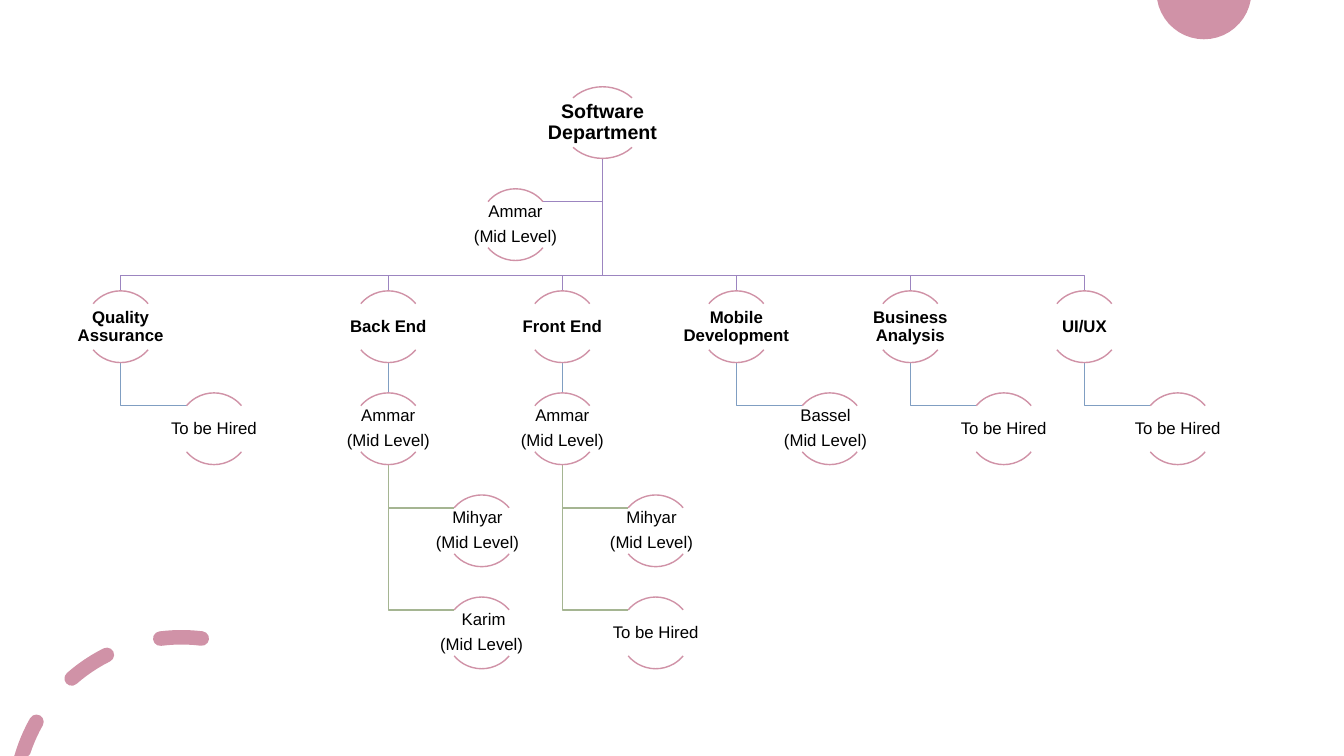
from dataclasses import dataclass
from math import cos, radians, sin
from typing import NamedTuple

from lxml import etree
from pptx import Presentation
from pptx.dml.color import RGBColor
from pptx.enum.shapes import MSO_CONNECTOR, MSO_SHAPE
from pptx.enum.text import MSO_ANCHOR, PP_ALIGN
from pptx.oxml.ns import qn
from pptx.util import Pt

ARC, STRAIGHT = MSO_SHAPE.ARC, MSO_CONNECTOR.STRAIGHT
MIDDLE, CENTER = MSO_ANCHOR.MIDDLE, PP_ALIGN.CENTER
Point = tuple[float, float]


@dataclass(frozen=True)
class Theme:
    rose: RGBColor = RGBColor(0xD0, 0x92, 0xA7)
    purple: RGBColor = RGBColor(0x9C, 0x85, 0xC0)
    blue: RGBColor = RGBColor(0x80, 0x9E, 0xC2)
    green: RGBColor = RGBColor(0xA5, 0xB5, 0x92)
    black: RGBColor = RGBColor(0, 0, 0)
    font: str = "Arial"
    root_size: float = 14
    unit_size: float = 12
    line: float = 1


THEME = Theme()


class Person(NamedTuple):
    name: str
    level: str = ""
    shift: float = 0  # sideways offset of the name


class Branch(NamedTuple):
    unit: str
    x: float
    lead: Person | None
    team: tuple[Person, ...]


class Node(NamedTuple):
    lines: tuple[str, ...]
    x: float
    row: int
    bold: bool = False
    shift: float = 0
    size: float = THEME.unit_size
    circle_width: float = 51.2
    label_width: float = 103


WIDTH, HEIGHT = 960, 540

# Chart grid
TOP, ROW_STEP = 62, 72.9
CIRCLE, LABEL_HEIGHT = 51.2, 33
FIRST_X, BACK_X, COLUMN_STEP = 86.2, 277.4, 124.3
COLUMNS = [FIRST_X] + [BACK_X + COLUMN_STEP * i for i in range(5)]
ROOT_X = (COLUMNS[0] + COLUMNS[-1]) / 2
HANG = 66.7  # from a parent's centre to a hanging child's centre
ARC_END_X = CIRCLE / 2 * cos(radians(40))
ARC_END_Y = CIRCLE / 2 * (1 - sin(radians(40)))
ARCS = ((132, 192), (24, 84))  # upper and lower, from 220 to 320 and 40 to 140 degrees

FRAME_FORMAT = {"word_wrap": True, "vertical_anchor": MIDDLE}
FRAME_FORMAT |= {f"margin_{side}": Pt(0.7) for side in ("left", "right", "top", "bottom")}
PARAGRAPH_FORMAT = {"alignment": CENTER, "line_spacing": 0.9, "space_after": Pt(4.7)}

MID = "(Mid Level)"
AMMAR, MIHYAR = Person("Ammar", MID), Person("Mihyar", MID, -3)
KARIM, BASSEL = Person("Karim", MID, 1.4), Person("Bassel", MID, -3)
OPEN = Person("To be Hired")
UNITS = (
    ("Quality Assurance", None, (OPEN,)),
    ("Back End", AMMAR, (MIHYAR, KARIM)),
    ("Front End", AMMAR, (MIHYAR, OPEN)),
    ("Mobile Development", None, (BASSEL,)),
    ("Business Analysis", None, (OPEN,)),
    ("UI/UX", None, (OPEN,)),
)
BRANCHES = [Branch(unit, x, lead, team) for x, (unit, lead, team) in zip(COLUMNS, UNITS)]

deck = Presentation()
deck.slide_width, deck.slide_height = Pt(WIDTH), Pt(HEIGHT)
shapes = deck.slides.add_slide(deck.slide_layouts[6]).shapes


def row_top(row: int) -> float:
    return TOP + ROW_STEP * row


def row_bottom(row: int) -> float:
    return row_top(row) + CIRCLE


def outline(points: list[Point], close: bool):
    start, *rest = [(Pt(x), Pt(y)) for x, y in points]
    builder = shapes.build_freeform(*start)
    builder.add_line_segments(rest, close=close)
    shape = builder.convert_to_shape()
    shape.shadow.inherit = False
    return shape


def ornament(points: list[Point]) -> None:
    """Fill an outline, cut off at the slide's lower edge."""
    shape = outline([(x, min(y, HEIGHT)) for x, y in points], close=True)
    shape.fill.solid()
    shape.fill.fore_color.rgb = THEME.rose
    shape.line.fill.background()


def polar(center: Point, radius: float, angle: float) -> Point:
    """Point on a circle; angles run clockwise from the top."""
    x, y = center
    return x + radius * sin(radians(angle)), y - radius * cos(radians(angle))


def sweep(center: Point, radius: float, start: float, end: float, steps: int = 6) -> list[Point]:
    return [polar(center, radius, start + (end - start) * i / steps) for i in range(steps + 1)]


def dash(center: Point, radius: float, half: float, start: float, end: float) -> None:
    ornament(sweep(center, radius + half, start, end)
             + sweep(polar(center, radius, end), half, end, end + 180)
             + sweep(center, radius - half, end, start)
             + sweep(polar(center, radius, start), half, start + 180, start + 360))


def link(color: RGBColor, *points: Point) -> None:
    if len(points) == 2:
        shape = shapes.add_connector(STRAIGHT, *(Pt(v) for point in points for v in point))
        etree.SubElement(shape._element.spPr, qn("a:effectLst"))
    else:
        shape = outline(list(points), close=False)
        shape.fill.background()
    shape.line.color.rgb = color
    shape.line.width = Pt(THEME.line)


def hang(color: RGBColor, x: float, parent_row: int, row: int) -> None:
    y = row_top(row) + ARC_END_Y
    link(color, (x, row_bottom(parent_row)), (x, y), (x + HANG - ARC_END_X, y))


def person_node(person: Person, x: float, row: int) -> Node:
    lines = tuple(filter(None, (person.name, person.level)))
    return Node(lines, x, row, shift=person.shift)


def draw_node(node: Node) -> None:
    for ends in ARCS:
        arc = shapes.add_shape(ARC, Pt(node.x - node.circle_width / 2), Pt(row_top(node.row)),
                               Pt(node.circle_width), Pt(CIRCLE))
        arc.adjustments[0], arc.adjustments[1] = ends
        arc.shadow.inherit = False
        arc.fill.background()
        arc.line.color.rgb = THEME.rose
        arc.line.width = Pt(THEME.line)
    label_top = row_top(node.row) + (CIRCLE - LABEL_HEIGHT) / 2
    frame = shapes.add_textbox(Pt(node.x - node.label_width / 2), Pt(label_top),
                               Pt(node.label_width), Pt(LABEL_HEIGHT)).text_frame
    for key, value in FRAME_FORMAT.items():
        setattr(frame, key, value)
    frame.text = "\n".join(node.lines)
    font_format = {"name": THEME.font, "size": Pt(node.size), "bold": node.bold}
    for paragraph in frame.paragraphs:
        for key, value in PARAGRAPH_FORMAT.items():
            setattr(paragraph, key, value)
        font = paragraph.runs[0].font
        for key, value in font_format.items():
            setattr(font, key, value)
        font.color.rgb = THEME.black
    if node.shift:
        side = "marL" if node.shift > 0 else "marR"
        frame.paragraphs[0]._p.get_or_add_pPr().set(side, str(Pt(2 * abs(node.shift))))


# Corner ornaments
ornament(sweep((860, -5.8), 33.9, 99.8, 260.2, steps=20))
for start, end in ((-74, -60.5), (-41.2, -26.6), (-7.3, 7)):
    dash((129.6, 574.2), 119, 5.2, start, end)

# Connecting lines, collecting the nodes on the way
root = (ROOT_X, row_bottom(0))
assistant_x = ROOT_X - COLUMN_STEP / 2
assistant_y = row_top(1) + ARC_END_Y
bus_y = (row_bottom(1) + row_top(2)) / 2
nodes = [Node(("Software Department",), ROOT_X, 0, True, size=THEME.root_size,
              circle_width=58.3, label_width=116.6),
         person_node(AMMAR, assistant_x, 1)]
link(THEME.purple, root, (ROOT_X, assistant_y), (assistant_x + ARC_END_X, assistant_y))
for branch in BRANCHES:
    x, parent_row, color = branch.x, 2, THEME.blue
    link(THEME.purple, root, (ROOT_X, bus_y), (x, bus_y), (x, row_top(2)))
    nodes.append(Node((branch.unit,), x, 2, True))
    if branch.lead:
        link(color, (x, row_bottom(2)), (x, row_top(3)))
        nodes.append(person_node(branch.lead, x, 3))
        parent_row, color = 3, THEME.green
    for row, person in enumerate(branch.team, parent_row + 1):
        hang(color, x, parent_row, row)
        nodes.append(person_node(person, x + HANG, row))

# Circles and labels
for node in nodes:
    draw_node(node)

deck.save("out.pptx")
